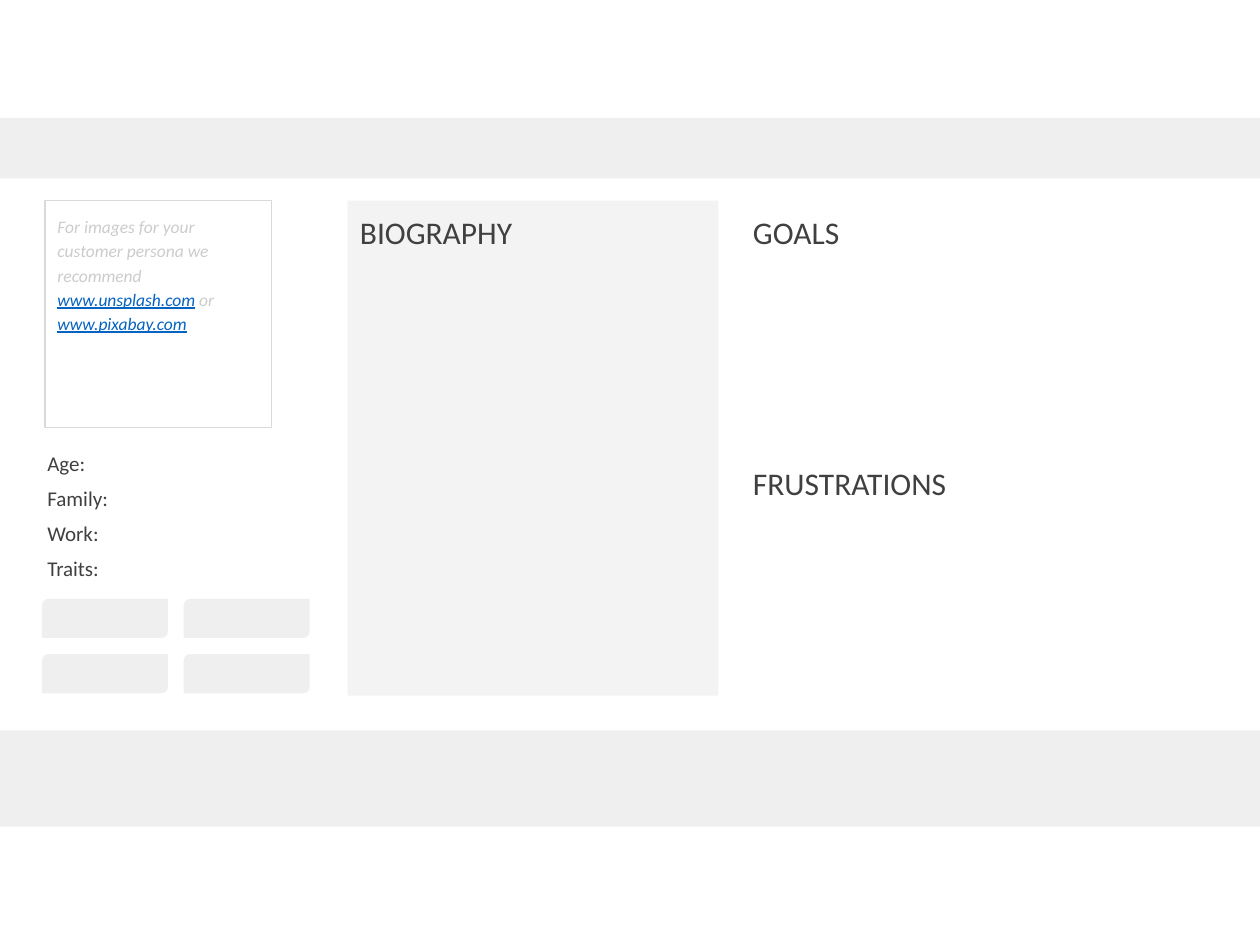
from dataclasses import dataclass

from pptx import Presentation
from pptx import util as u
from pptx.dml.color import RGBColor
from pptx.enum import shapes, text

Pt = u.Pt


@dataclass(frozen=True)
class Theme:
    font: str = "Calibri"
    ink: str = "404040"
    hint: str = "CCCCCC"
    link: str = "0563C1"
    frame: str = "D9D9D9"
    panel: str = "F3F3F3"
    band: str = "EFEFEF"
    heading_size: int = 18
    label_size: int = 12
    hint_size: int = 10
    inset: float = 7.2


THEME = Theme()


def add_block(slide, box, fill=None, line=None, kind=shapes.MSO_SHAPE.RECTANGLE):
    shape = slide.shapes.add_shape(kind, *map(Pt, box))
    shape.shadow.inherit = False
    if fill:
        shape.fill.solid()
        shape.fill.fore_color.rgb = RGBColor.from_string(fill)
    else:
        shape.fill.background()
    if line:
        shape.line.color.rgb = RGBColor.from_string(line)
        shape.line.width = Pt(0.75)
    else:
        shape.line.fill.background()
    return shape


def prepare_frame(shape):
    frame = shape.text_frame
    frame.word_wrap = True
    frame.vertical_anchor = text.MSO_ANCHOR.TOP
    frame.margin_left = frame.margin_right = Pt(THEME.inset)
    frame.margin_top = frame.margin_bottom = Pt(THEME.inset)
    frame.paragraphs[0].alignment = text.PP_ALIGN.LEFT
    return frame


def add_run(paragraph, words, size, color=THEME.ink, italic=False, underline=False):
    run = paragraph.add_run()
    run.text = words
    run.font.name = THEME.font
    run.font.size = Pt(size)
    run.font.italic = italic
    run.font.underline = underline
    run.font.color.rgb = RGBColor.from_string(color)


def add_section(slide, box, title, fill=None):
    """A titled area, on a tinted panel if a fill is given."""
    if fill:
        shape = add_block(slide, box, fill)
    else:
        shape = slide.shapes.add_textbox(*map(Pt, box))
    add_run(prepare_frame(shape).paragraphs[0], title, THEME.heading_size)


def add_portrait_frame(slide, box):
    """An outlined square with advice on where to find portraits."""
    paragraph = prepare_frame(add_block(slide, box, line=THEME.frame)).paragraphs[0]
    paragraph.line_spacing = 1.15
    for words, is_link in (
        ("For images for your customer persona we recommend ", False),
        ("www.unsplash.com", True),
        (" or ", False),
        ("www.pixabay.com", True),
    ):
        color = THEME.link if is_link else THEME.hint
        add_run(paragraph, words, THEME.hint_size, color, italic=True, underline=is_link)


def add_facts(slide, box, labels):
    """A spaced list of personal details."""
    frame = prepare_frame(slide.shapes.add_textbox(*map(Pt, box)))
    for index, label in enumerate(labels):
        paragraph = frame.add_paragraph() if index else frame.paragraphs[0]
        paragraph.line_spacing = 0.7
        if index:
            paragraph.space_before = Pt(10)
        add_run(paragraph, label, THEME.label_size)


def add_trait_tags(slide, box, columns=2, rows=2, tag_width=72, tag_height=22.4):
    """A grid of empty tags that fills the box."""
    left, top, width, height = box
    step_x = (width - tag_width) / (columns - 1)
    step_y = (height - tag_height) / (rows - 1)
    for row in range(rows):
        for column in range(columns):
            place = (left + column * step_x, top + row * step_y, tag_width, tag_height)
            add_block(slide, place, THEME.band,
                      kind=shapes.MSO_SHAPE.ROUND_2_DIAG_RECTANGLE)


def build_persona(slide, box):
    left, top, width, height = box

    # Biography, goals and frustrations
    add_section(slide, (left + 198.6, top + 114.6, 212, 283), "BIOGRAPHY", THEME.panel)
    for title, offset in (("GOALS", 114.6), ("FRUSTRATIONS", 258)):
        add_section(slide, (left + 423.2, top + offset, 274.4, 138.6), title)

    # Portrait, facts and traits
    add_portrait_frame(slide, (left + 25.8, top + 114.6, 129.6, 129.6))
    add_facts(slide, (left + 20, top + 254, 122.4, 88),
              ("Age:", "Family:", "Work:", "Traits:"))
    add_trait_tags(slide, (left + 24, top + 342.2, 153, 54))

    # Bands across the top and bottom
    for offset, band_height in ((67.4, 34.6), (417.4, 55)):
        add_block(slide, (left, top + offset, width, band_height), THEME.band)


def main():
    presentation = Presentation()
    presentation.slide_width, presentation.slide_height = Pt(720), Pt(540)
    slide = presentation.slides.add_slide(presentation.slide_layouts[6])
    build_persona(slide, (0, 0, 720, 540))
    presentation.save("out.pptx")


if __name__ == "__main__":
    main()
